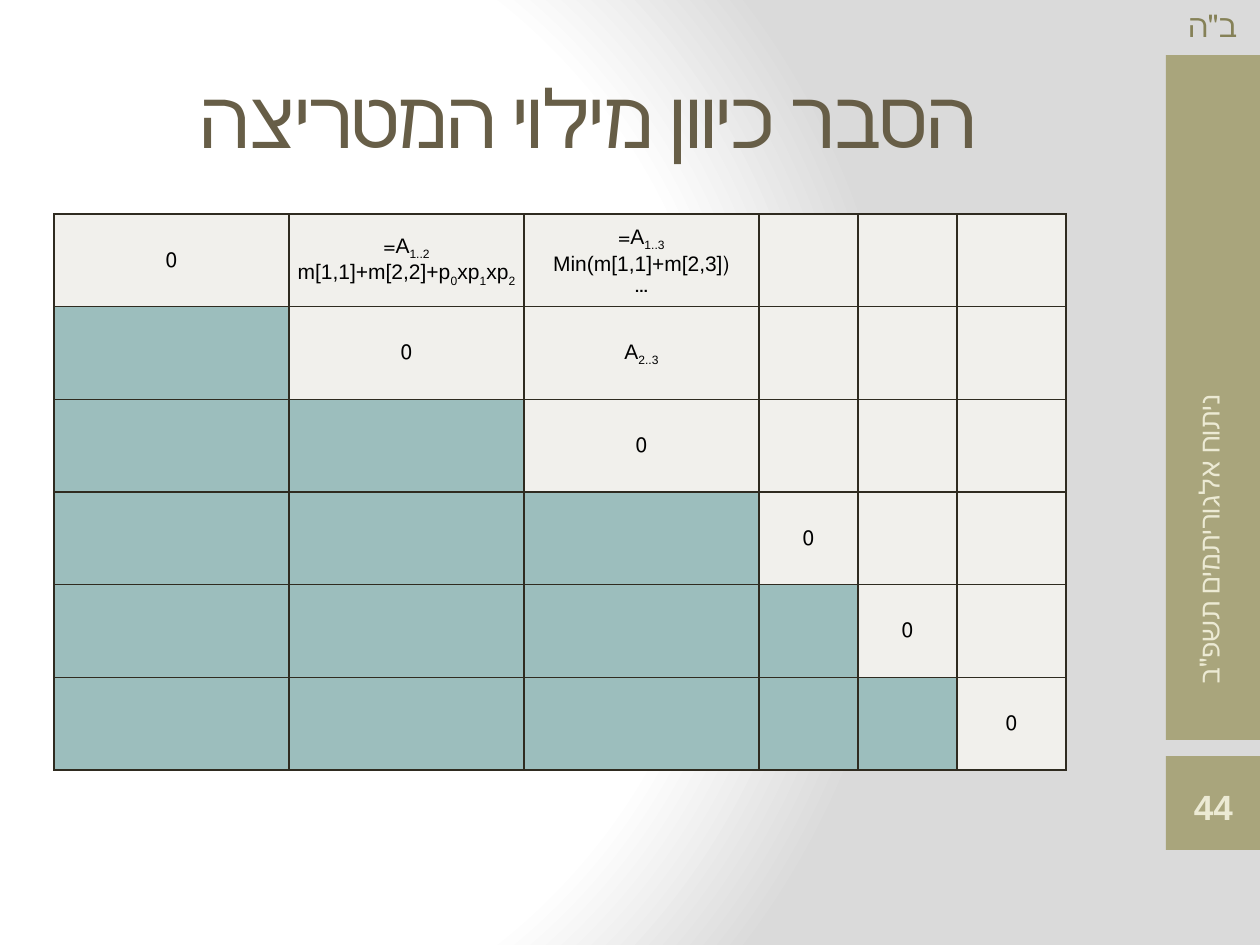
from dataclasses import dataclass

import pptx
import pptx.dml.color
import pptx.enum.shapes
import pptx.enum.text
import pptx.oxml
import pptx.oxml.ns
import pptx.util

EMU_PER_PX = 914400 / 126
ALIGN = pptx.enum.text.PP_ALIGN
MIDDLE = pptx.enum.text.MSO_ANCHOR.MIDDLE
SHAPES = pptx.enum.shapes.MSO_SHAPE
NS = pptx.oxml.ns.nsdecls("a")


@dataclass(frozen=True)
class Theme:
    body_font: str = "Arial"
    title_font: str = "Cambria"
    title: str = "675E47"
    band: str = "A9A57C"
    band_text: str = "ECEAD4"
    corner_text: str = "858157"
    cell_text: str = "000000"
    open_cell: str = "F1F0EC"
    lower_cell: str = "9CBEBD"
    border: str = "2F2B20"
    glow: str = "FFFFFF"
    shade: str = "DADADA"
    title_size: int = 46
    number_size: int = 20
    corner_size: int = 18
    course_size: int = 16
    cell_size: int = 12


@dataclass(frozen=True)
class Box:
    left: int
    top: int
    width: int
    height: int

    def emu(self) -> tuple:
        return tuple(px(v) for v in (self.left, self.top, self.width, self.height))


@dataclass(frozen=True)
class Piece:
    text: str
    sub: bool = False


@dataclass(frozen=True)
class Label:
    box: Box
    text: str
    size: int
    color: str
    align: ALIGN
    rotation: int = 0


THEME = Theme()
BANDS = (Box(1166, 55, 94, 685), Box(1166, 756, 94, 94))
LABELS = (
    Label(Box(1176, 0, 84, 50), 'ב"ה', THEME.corner_size, THEME.corner_text, ALIGN.LEFT),
    Label(Box(1027, 539, 363, 50), 'ניתוח אלגוריתמים תשפ"ב', THEME.course_size,
          THEME.band_text, ALIGN.RIGHT, 270),
)
MATRIX_BOX = Box(54, 214, 1012, 556)
COLUMNS = (235, 235, 235, 99, 99, 109)
ZERO = [[Piece("0")]]
ENTRIES = {
    (0, 1): [
        [Piece("A"), Piece("1..2", True), Piece("=")],
        [Piece("m[1,1]+m[2,2]+p"), Piece("0", True), Piece("xp"), Piece("1", True),
         Piece("xp"), Piece("2", True)],
    ],
    (0, 2): [
        [Piece("A"), Piece("1..3", True), Piece("=")],
        [Piece("(Min(m[1,1]+m[2,3]")],
        [Piece("…")],
    ],
    (1, 2): [[Piece("A"), Piece("2..3", True)]],
}


def px(value: float) -> int:
    return round(value * EMU_PER_PX)


def rgb(color: str) -> pptx.dml.color.RGBColor:
    return pptx.dml.color.RGBColor.from_string(color)


def add_run(paragraph, text: str, size: int, color: str, font: str = THEME.body_font):
    run = paragraph.add_run()
    run.text = text
    run.font.size = pptx.util.Pt(size)
    run.font.name = font
    run.font.color.rgb = rgb(color)
    return run


def set_rtl(paragraph) -> None:
    paragraph._p.get_or_add_pPr().set("rtl", "1")


def paint_background(slide) -> None:
    fill = slide.background.fill
    fill.gradient()
    gradient = slide._element.find(".//" + pptx.oxml.ns.qn("a:gradFill"))
    stops = "".join(
        f'<a:gs pos="{pos}"><a:srgbClr val="{color}"/></a:gs>'
        for pos, color in ((0, THEME.glow), (75000, THEME.glow), (100000, THEME.shade))
    )
    radial = pptx.oxml.parse_xml(
        f'<a:gradFill {NS} rotWithShape="1"><a:gsLst>{stops}</a:gsLst>'
        '<a:path path="circle"><a:fillToRect l="20000" t="50000" r="100000" b="50000"/>'
        '</a:path></a:gradFill>'
    )
    gradient.getparent().replace(gradient, radial)


def add_band(slide, box: Box) -> None:
    band = slide.shapes.add_shape(SHAPES.RECTANGLE, *box.emu())
    band.shadow.inherit = False
    band.fill.solid()
    band.fill.fore_color.rgb = rgb(THEME.band)
    band.line.fill.background()


def add_label(slide, label: Label) -> None:
    holder = slide.shapes.add_textbox(*label.box.emu())
    holder.rotation = label.rotation
    frame = holder.text_frame
    frame.word_wrap = True
    frame.vertical_anchor = MIDDLE if label.rotation else pptx.enum.text.MSO_ANCHOR.TOP
    paragraph = frame.paragraphs[0]
    paragraph.alignment = label.align
    add_run(paragraph, label.text, label.size, label.color)


def add_title(slide, text: str) -> None:
    title = slide.shapes.title
    title.left, title.top, title.width, title.height = Box(63, 38, 1050, 157).emu()
    title.text_frame.vertical_anchor = MIDDLE
    paragraph = title.text_frame.paragraphs[0]
    paragraph.alignment = ALIGN.CENTER
    set_rtl(paragraph)
    run = add_run(paragraph, text, THEME.title_size, THEME.title, THEME.title_font)
    run.font._element.set("spc", "-100")


def add_page_number(slide, number: str) -> None:
    badge = slide.shapes.add_shape(SHAPES.DOUBLE_BRACKET, *Box(1176, 779, 75, 54).emu())
    badge.adjustments[0] = 0.18
    badge.shadow.inherit = False
    badge.fill.background()
    badge.line.fill.background()
    frame = badge.text_frame
    frame.margin_left = frame.margin_right = 0
    frame.vertical_anchor = MIDDLE
    paragraph = frame.paragraphs[0]
    paragraph.alignment = ALIGN.CENTER
    add_run(paragraph, number, THEME.number_size, THEME.band_text).font.bold = True


def style_cell(cell, color: str) -> None:
    properties = cell._tc.get_or_add_tcPr()
    for side in ("lnL", "lnR", "lnT", "lnB"):
        properties.append(pptx.oxml.parse_xml(
            f'<a:{side} {NS} w="12700"><a:solidFill><a:srgbClr val="{THEME.border}"/>'
            f'</a:solidFill></a:{side}>'
        ))
    cell.fill.solid()
    cell.fill.fore_color.rgb = rgb(color)
    cell.vertical_anchor = MIDDLE
    cell.margin_left = cell.margin_right = cell.margin_top = px(1)
    cell.margin_bottom = 0


def write_entry(cell, lines: list) -> None:
    frame = cell.text_frame
    for index, pieces in enumerate(lines):
        paragraph = frame.add_paragraph() if index else frame.paragraphs[0]
        paragraph.alignment = ALIGN.CENTER
        set_rtl(paragraph)
        for piece in pieces:
            run = add_run(paragraph, piece.text, THEME.cell_size, THEME.cell_text)
            if piece.sub:
                run.font._element.set("baseline", "-25000")


def add_matrix(slide) -> None:
    size = len(COLUMNS)
    matrix = slide.shapes.add_table(size, size, *MATRIX_BOX.emu()).table
    matrix.first_row = matrix.horz_banding = False
    for column, width in zip(matrix.columns, COLUMNS):
        column.width = px(width)
    for i in range(size):
        matrix.rows[i].height = px(MATRIX_BOX.height / size)
        for j in range(size):
            cell = matrix.cell(i, j)
            style_cell(cell, THEME.lower_cell if j < i else THEME.open_cell)
            write_entry(cell, ZERO if i == j else ENTRIES.get((i, j), []))


def main() -> None:
    deck = pptx.Presentation()
    deck.slide_width, deck.slide_height = px(1260), px(945)
    slide = deck.slides.add_slide(deck.slide_layouts[5])
    paint_background(slide)
    for box in BANDS:
        add_band(slide, box)
    for label in LABELS:
        add_label(slide, label)
    add_title(slide, "הסבר כיוון מילוי המטריצה")
    add_matrix(slide)
    add_page_number(slide, "44")
    deck.save("out.pptx")


if __name__ == "__main__":
    main()
